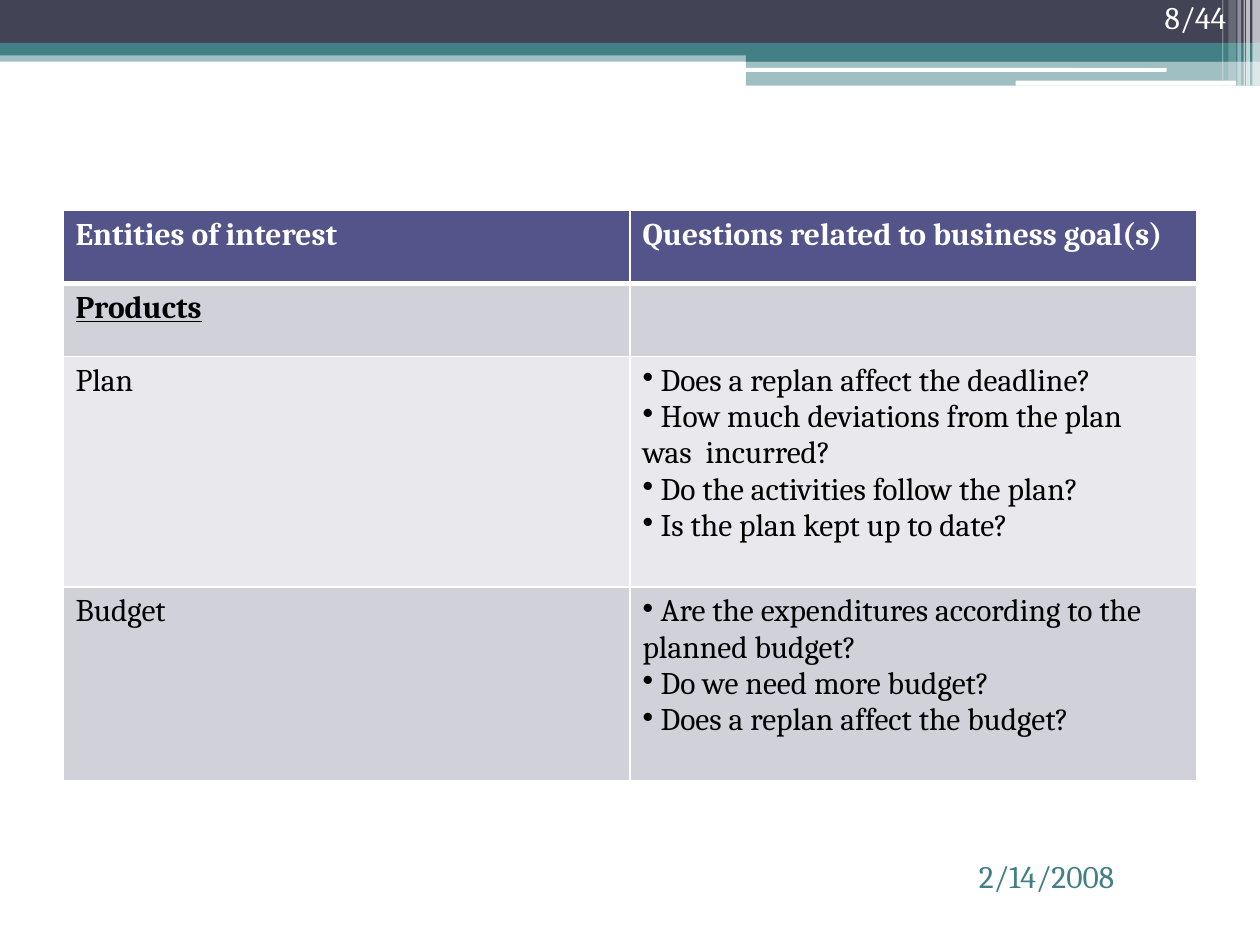
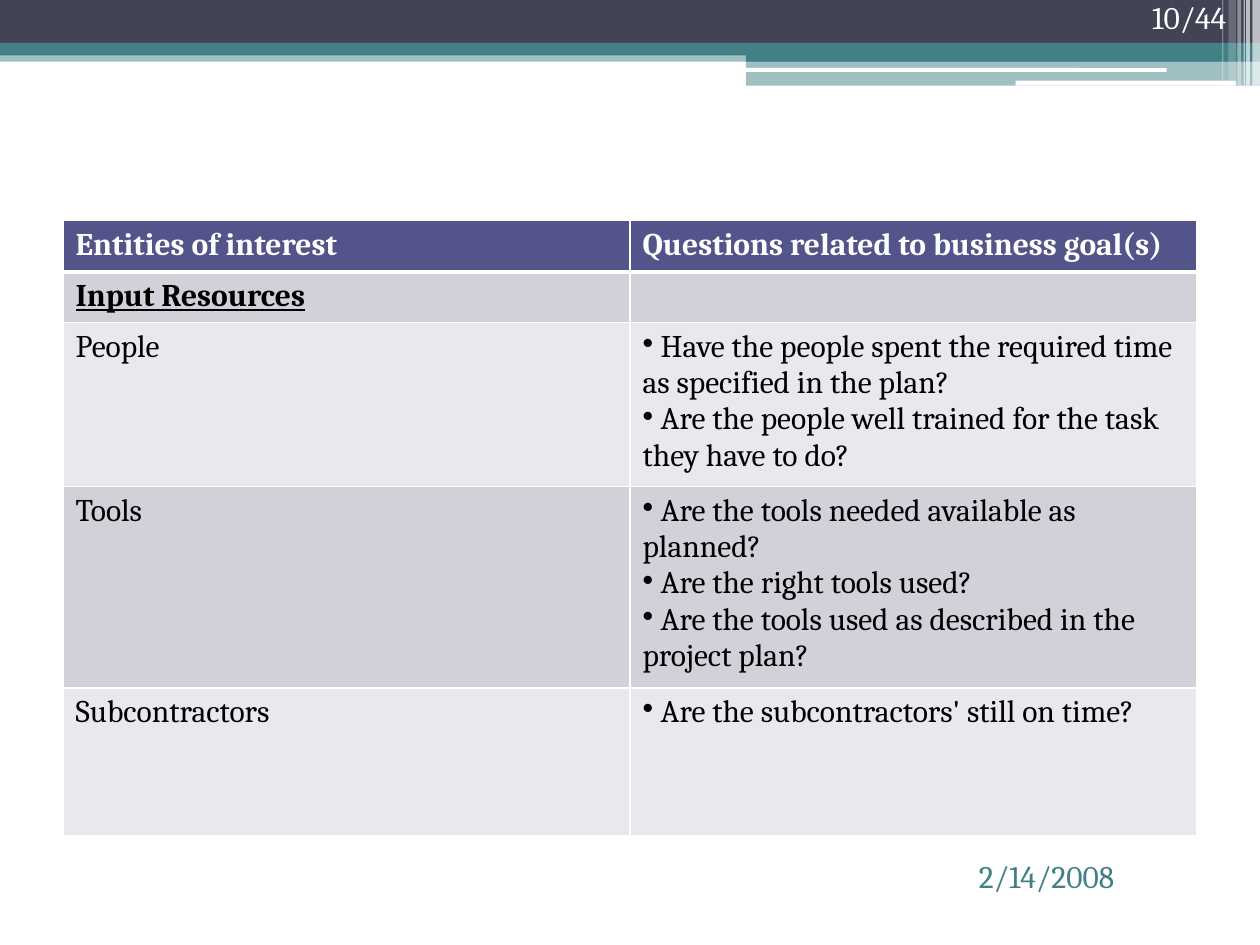
from dataclasses import dataclass

from lxml.etree import SubElement
from pptx import Presentation
from pptx.dml.color import RGBColor
from pptx.enum.shapes import MSO_SHAPE as Shape
from pptx.enum.text import MSO_ANCHOR as Anchor, PP_ALIGN as Align
from pptx.oxml.ns import qn
from pptx.util import Inches, Pt

# The slide is a grid of 1000 columns by 750 rows
COLUMNS, ROWS = 1000, 750
WIDTH, HEIGHT = Inches(10), Inches(7.5)

FONT, TEXT_SIZE = "Cambria", 18
WHITE, BLACK = "FFFFFF", "000000"
NAVY, TEAL = "424456", "438086"
HEADING_FILL, BAND_FILLS = "53548A", ("D1D1DA", "E9E9ED")

HEADINGS = ("Entities of interest", "Questions related to business goal(s)")
PAGE_TOTAL = 44
DATE = "2/14/2008"


@dataclass
class Box:
    """An area in grid columns and rows."""
    left: int
    top: int
    width: int
    height: int

    def inner(self, left, top, width, height):
        return Box(self.left + left, self.top + top, width, height)

    def lengths(self):
        across, down = WIDTH / COLUMNS, HEIGHT / ROWS
        return [int(n) for n in (self.left * across, self.top * down,
                                 self.width * across, self.height * down)]


def color(value):
    return RGBColor.from_string(value)


def set_alpha(fill_parent, percent):
    value = fill_parent.find(".//" + qn("a:srgbClr"))
    SubElement(value, qn("a:alpha"), val=str(percent * 1000))


def write(frame, lines, ink=BLACK, bold=False, underline=False,
          align=Align.LEFT, bullet=None):
    """Write one paragraph per line; a vertical tab breaks a line."""
    frame.word_wrap = True
    for index, line in enumerate(lines):
        para = frame.paragraphs[0] if index == 0 else frame.add_paragraph()
        para.text = line
        para.alignment = align
        if bullet:
            SubElement(para._p.get_or_add_pPr(), qn("a:buChar"), char=bullet)
        for span in para.runs:
            font = span.font
            font.name, font.size = FONT, Pt(TEXT_SIZE)
            font.bold, font.underline = bold, underline
            font.color.rgb = color(ink)


def add_bar(page, box, fill, alpha=100, kind=Shape.RECTANGLE):
    bar = page.shapes.add_shape(kind, *box.lengths())
    bar.shadow.inherit = False
    bar.fill.solid()
    bar.fill.fore_color.rgb = color(fill)
    bar.line.fill.background()
    if alpha < 100:
        set_alpha(bar._element.spPr, alpha)


def add_label(page, box, text, anchor=Anchor.TOP, **style):
    label = page.shapes.add_textbox(*box.lengths())
    label.text_frame.vertical_anchor = anchor
    write(label.text_frame, [text], **style)


def add_header(page, box, number):
    # Full-width bands
    add_bar(page, box.inner(0, 40, box.width, 9), TEAL, 50)
    add_bar(page, box.inner(0, 0, box.width, 34), NAVY)
    add_bar(page, box.inner(0, 34, box.width, 10), TEAL)
    # Step on the right, with two white slots
    step = box.inner(592, 39, box.width - 592, 29)
    add_bar(page, step.inner(0, 0, step.width, 10), TEAL)
    add_bar(page, step.inner(0, 9, step.width, 20), TEAL, 50)
    for slot in (step.inner(-1, 15, 335, 3), step.inner(214, 25, 175, 4)):
        add_bar(page, slot, WHITE, kind=Shape.ROUNDED_RECTANGLE)
    # Translucent stripes at the right edge: left, width, height, alpha
    for left, width, height, alpha in ((994, 6, 68, 65), (989, 3, 68, 65),
                                       (987, 1, 68, 60), (982, 3, 68, 40),
                                       (975, 6, 64, 20), (970, 1, 64, 30)):
        add_bar(page, box.inner(left, 0, width, height), WHITE, alpha)
    # Page number
    add_label(page, box.inner(864, -7, 119, 40), f"{number}/{PAGE_TOTAL}",
              anchor=Anchor.BOTTOM, ink=WHITE, align=Align.RIGHT)


def add_footer(page, box):
    add_label(page, box.inner(767, 0, 150, box.height), DATE, ink=TEAL)


def set_borders(cell, **weights):
    """Draw white borders; sides not named are 1 point wide."""
    properties = cell._tc.get_or_add_tcPr()
    for index, side in enumerate("LRTB"):
        line = properties.makeelement(
            qn(f"a:ln{side}"), {"w": str(int(Pt(weights.get(side, 1))))})
        fill = SubElement(line, qn("a:solidFill"))
        SubElement(fill, qn("a:srgbClr"), val=WHITE)
        properties.insert(index, line)


def add_questions(page, box, group, entities, row_heights):
    """Table with a heading row, a group row and a row per entity."""
    table = page.shapes.add_table(len(row_heights), len(HEADINGS),
                                  *box.lengths()).table
    table.horz_banding = False
    for row, height in zip(table.rows, row_heights):
        row.height = int(height * HEIGHT / ROWS)

    # Fills and borders
    for index, row in enumerate(table.rows):
        for cell in row.cells:
            cell.fill.solid()
            cell.fill.fore_color.rgb = color(
                BAND_FILLS[(index - 1) % 2] if index else HEADING_FILL)
            set_borders(cell, **{0: {"B": 3}, 1: {"T": 3}}.get(index, {}))

    # Text
    for column, heading in enumerate(HEADINGS):
        write(table.cell(0, column).text_frame, [heading],
              ink=WHITE, bold=True)
    write(table.cell(1, 0).text_frame, [group], bold=True, underline=True)
    for index, (entity, questions) in enumerate(entities.items(), start=2):
        write(table.cell(index, 0).text_frame, [entity])
        write(table.cell(index, 1).text_frame,
              [f" {question}" for question in questions], bullet="•")


def add_page(deck, number, top, group, entities, row_heights):
    page = deck.slides.add_slide(deck.slide_layouts[6])
    add_header(page, Box(0, 0, COLUMNS, 68), number)
    add_footer(page, Box(0, 675, COLUMNS, 50))
    add_questions(page, Box(50, top, 900, sum(row_heights)),
                  group, entities, row_heights)


def main():
    deck = Presentation()
    deck.slide_width, deck.slide_height = WIDTH, HEIGHT

    add_page(deck, 8, 167, "Products", {
        "Plan": ["Does a replan affect the deadline?",
                 "How much deviations from the plan\vwas  incurred?",
                 "Do the activities follow the plan?",
                 "Is the plan kept up to date?"],
        "Budget": ["Are the expenditures according to the planned budget?",
                   "Do we need more budget?",
                   "Does a replan affect the budget?"],
    }, row_heights=(58, 58, 183, 154))

    add_page(deck, 10, 175, "Input Resources", {
        "People": ["Have the people spent the required time as specified "
                   "in the plan?",
                   "Are the people well trained for the task they have "
                   "to do?"],
        "Tools": ["Are the tools needed available as planned?",
                  "Are the right tools used?",
                  "Are the tools used as described in the project plan?"],
        "Subcontractors": ["Are the subcontractors' still on time?"],
    }, row_heights=(41, 39, 125, 154, 117))

    deck.save("out.pptx")


if __name__ == "__main__":
    main()
